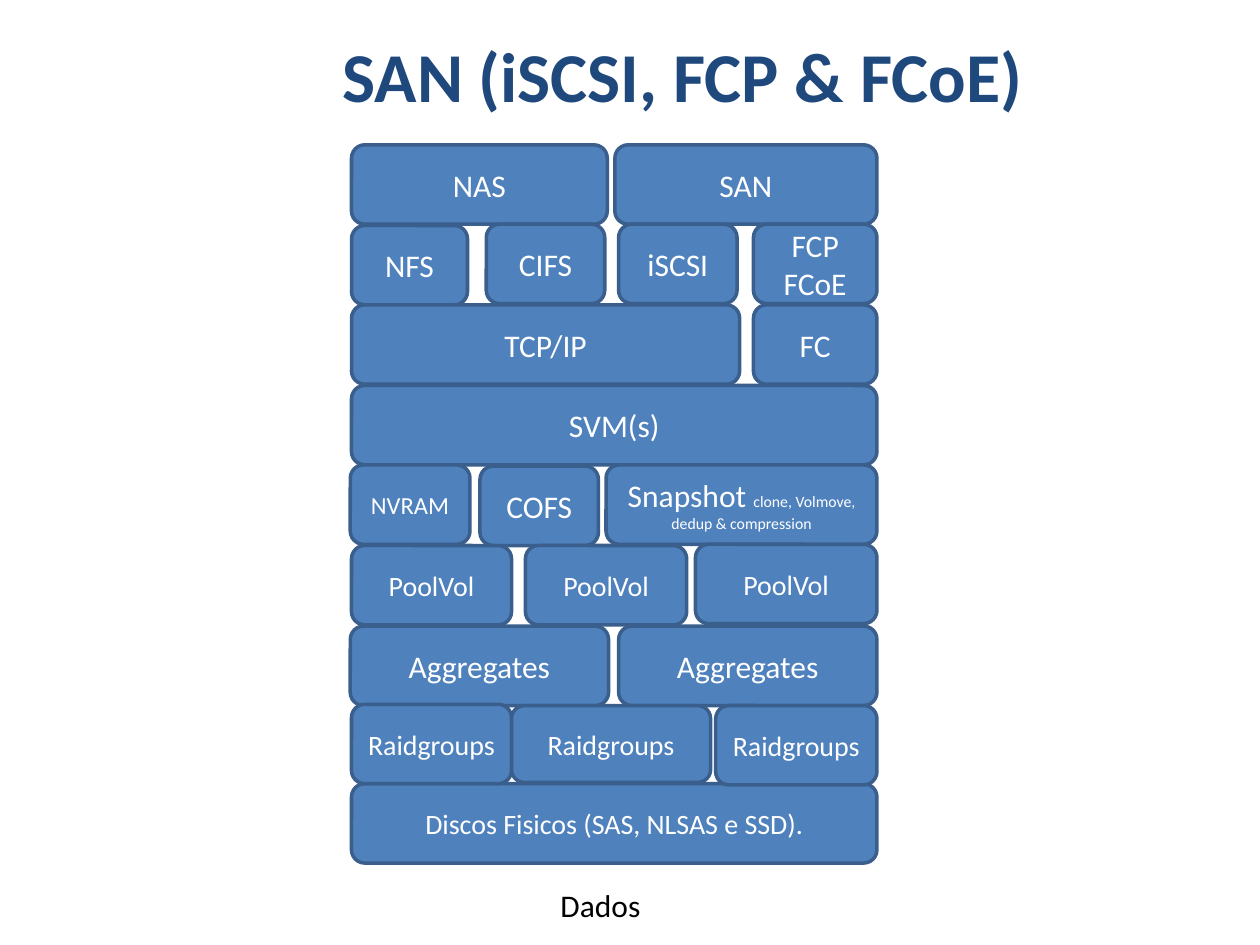
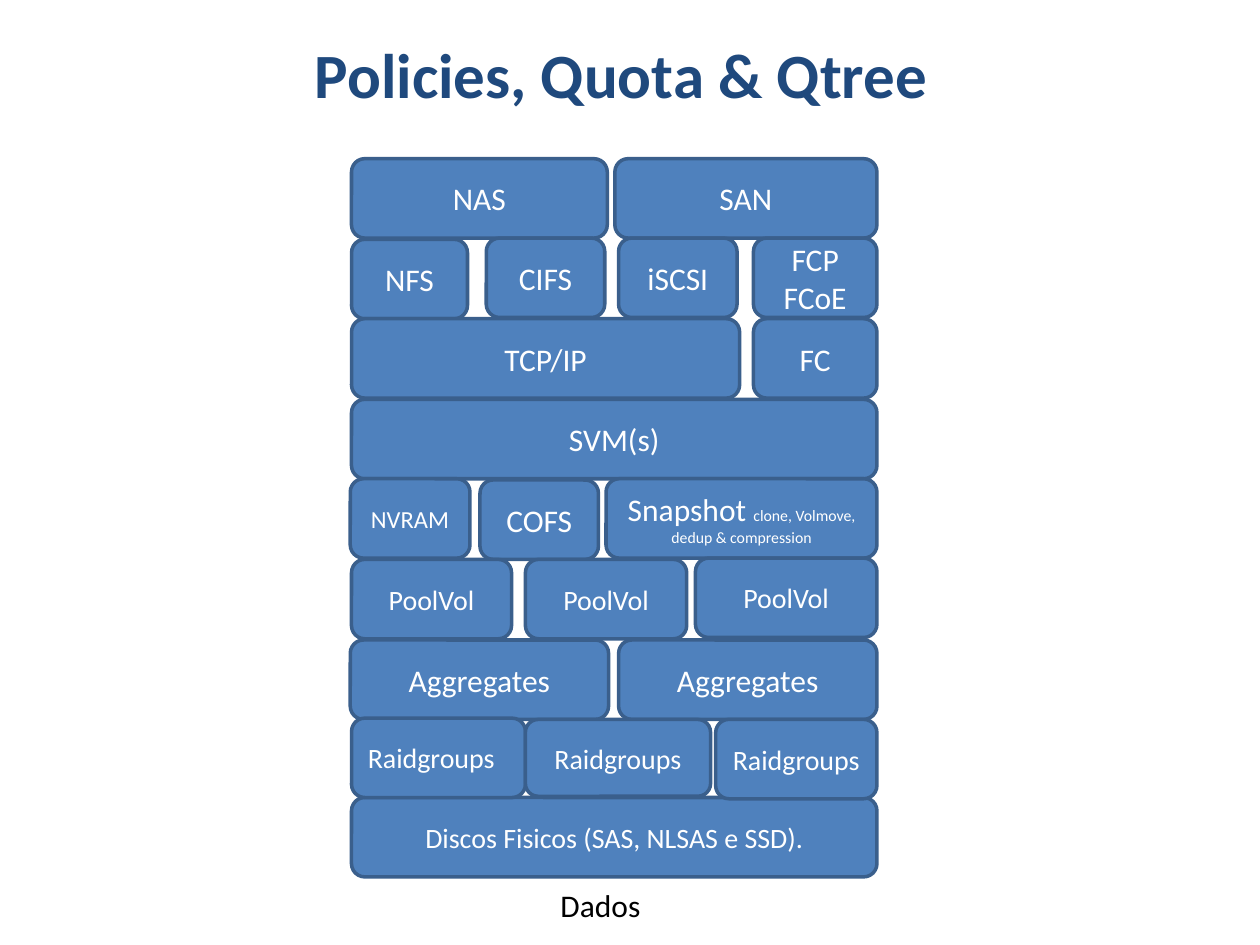
import pptx
import pptx.util
import pptx.dml.color
import pptx.enum.shapes
import pptx.enum.text

Inches = pptx.util.Inches
Pt = pptx.util.Pt
ALIGN = pptx.enum.text.PP_ALIGN

HUES = {"title": "1F497D", "fill": "4F81BD", "edge": "3A5F8C",
        "light": "FFFFFF", "dark": "000000"}
HIGH = 0.63
DROP = 0.01
LEFT = 2.79
SPAN = 4.17


class Deck:
    font = "Calibri"

    def __init__(self):
        self.file = pptx.Presentation()
        self.file.slide_width = Inches(10)
        self.file.slide_height = Inches(7.5)
        self.slide = None

    def page(self):
        self.slide = self.file.slides.add_slide(self.file.slide_layouts[6])

    def hue(self, name):
        return pptx.dml.color.RGBColor.from_string(HUES[name])

    def style(self, run, size, hue, bold=False):
        run.font.name = self.font
        run.font.size = Pt(size)
        run.font.bold = bold
        run.font.color.rgb = self.hue(hue)

    def label(self, place, text, size, hue, bold=False, wrap=True):
        box = self.slide.shapes.add_textbox(*map(Inches, place))
        frame = box.text_frame
        frame.word_wrap = wrap
        frame.text = text
        self.style(frame.paragraphs[0].runs[0], size, hue, bold)

    def block(self, place, text, size=18, tail="", align=ALIGN.CENTER):
        kind = pptx.enum.shapes.MSO_SHAPE.ROUNDED_RECTANGLE
        shape = self.slide.shapes.add_shape(kind, *map(Inches, place))
        shape.shadow.inherit = False
        shape.fill.solid()
        shape.fill.fore_color.rgb = self.hue("fill")
        shape.line.color.rgb = self.hue("edge")
        shape.line.width = Pt(2)
        frame = shape.text_frame
        frame.text = text
        for para in frame.paragraphs:
            para.alignment = align
            for run in para.runs:
                self.style(run, size, "light")
        if tail:
            run = frame.paragraphs[-1].add_run()
            run.text = tail
            self.style(run, 9, "light")

    def stack(self, top, split, align):
        rows = [
            (0, [(LEFT, 2.03, "NAS"), (4.88, 2.08, "SAN")]),
            (0.63, [(LEFT, 0.92, "NFS", DROP), (3.86, 0.94, "CIFS"),
                    (4.91, 0.94, "iSCSI"), (5.98, 0.98, "FCP\nFCoE")]),
            (1.27, [(LEFT, 3.08, "TCP/IP"), (5.98, 0.98, "FC")]),
            (1.91, [(LEFT, SPAN, "SVM(s)")]),
            (2.54, [(2.78, 0.95, "NVRAM", 0, 14), (3.81, 0.94, "COFS", DROP),
                    (4.81, 2.15, "Snapshot ", 0, 18,
                     "clone, Volmove, dedup & compression")]),
            (3.17, [(LEFT, 1.27, "PoolVol", DROP, 16),
                    (4.17, 1.28, "PoolVol", DROP, 16),
                    (5.52, 1.44, "PoolVol", 0, 16)]),
            (3.82, [(2.78, 2.05, "Aggregates"), (4.91, 2.05, "Aggregates")]),
            (5.07, [(LEFT, SPAN, "Discos Fisicos (SAS, NLSAS e SSD).", 0, 16)]),
        ]
        for down, cells in rows:
            for left, wide, text, *more in cells:
                drop, *rest = more or [0]
                self.block((left, top + down + drop, wide, HIGH), text, *rest)
        base = top + 4.44
        name = "Raidgroups"
        self.block((LEFT, base, split - LEFT, HIGH), name, 16, align=align)
        self.block((split, base + DROP, 5.64 - split, 0.61), name, 16)
        self.block((5.68, base + DROP, 1.28, HIGH), name, 16)


def main():
    deck = Deck()
    pages = [
        ("SAN (iSCSI, FCP & FCoE)", 40, (2.62, 0.21, 7.11, 1.02),
         1.15, 4.06, ALIGN.CENTER),
        ("Policies, Quota & Qtree", 36, (2.4, 0.23, 7.38, 1.02),
         1.26, 4.17, ALIGN.LEFT),
    ]
    for title, size, place, top, split, align in pages:
        deck.page()
        deck.label(place, title, size, "title", bold=True)
        deck.stack(top, split, align)
        deck.label((4.35, 6.98, 0.84, 0.4), "Dados", 18, "dark", wrap=False)
    deck.file.save("out.pptx")


if __name__ == "__main__":
    main()
